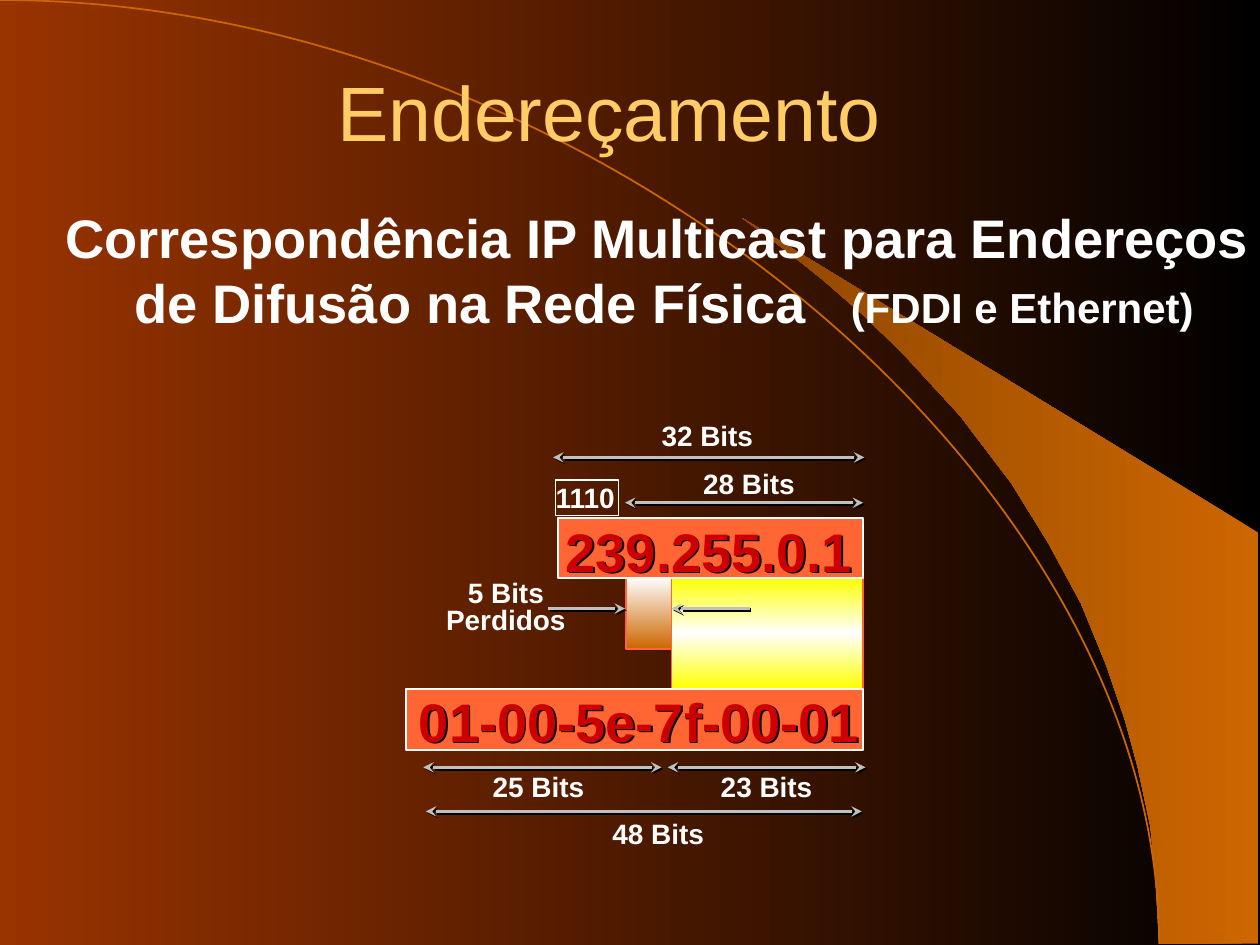
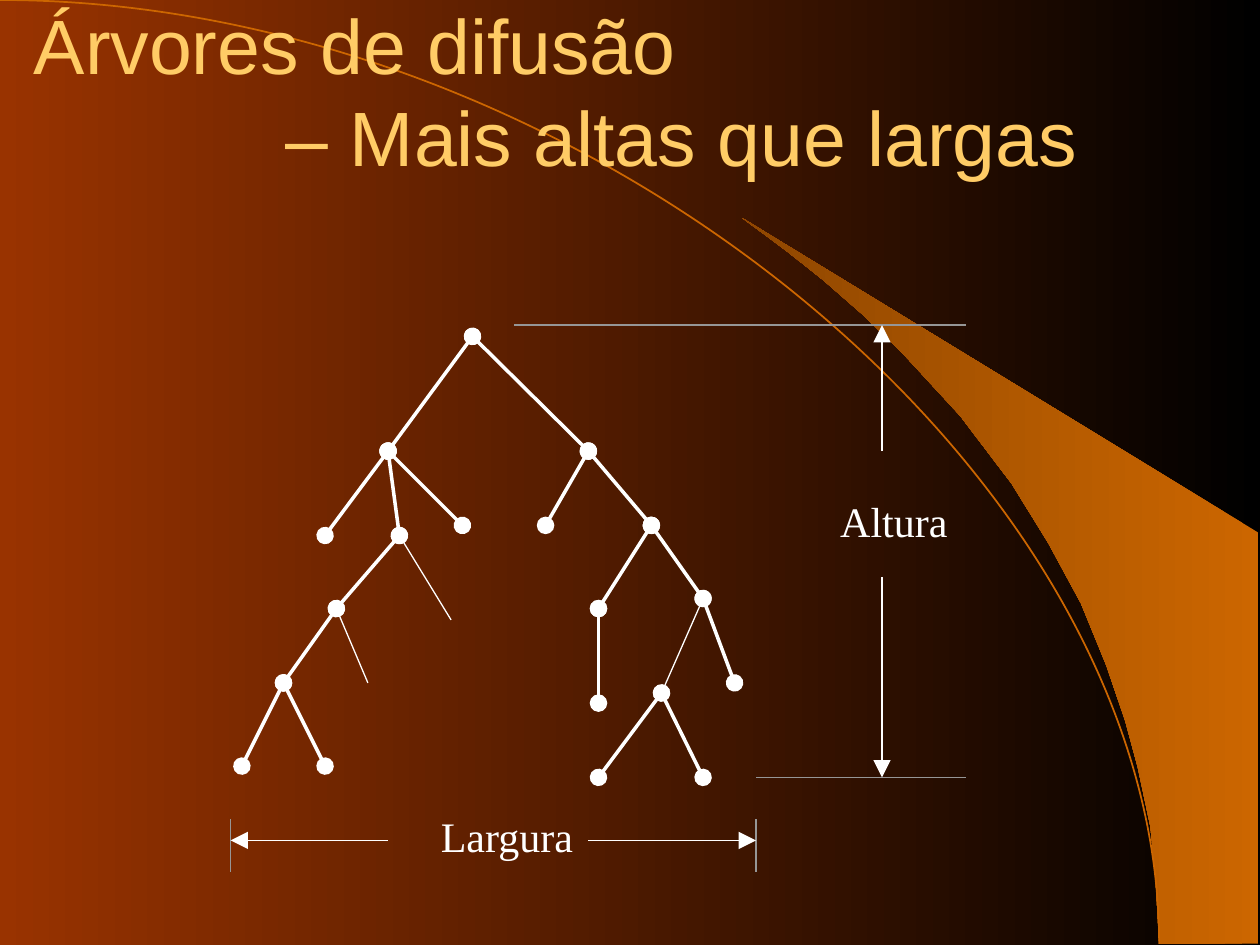
from lxml import etree
from pptx import Presentation
from pptx.dml.color import RGBColor
from pptx.enum.shapes import MSO_CONNECTOR as CONN, MSO_SHAPE as SHAPE
from pptx.enum.text import MSO_ANCHOR as ANCHOR, PP_ALIGN as ALIGN
from pptx.oxml.ns import qn
from pptx.util import Inches, Pt

BLACK = RGBColor(0x00, 0x00, 0x00)
WHITE = RGBColor(0xFF, 0xFF, 0xFF)
RUST = RGBColor(0x99, 0x33, 0x00)
ORANGE = RGBColor(0xCC, 0x66, 0x00)
BROWN = RGBColor(0x8F, 0x47, 0x00)
CORAL = RGBColor(0xFF, 0x66, 0x33)
YELLOW = RGBColor(0xFF, 0xFF, 0x00)
GOLD = RGBColor(0xFF, 0xCC, 0x66)
RED = RGBColor(0xCC, 0x00, 0x00)
SILVER = RGBColor(0xC0, 0xC0, 0xC0)
GRAY = RGBColor(0x96, 0x96, 0x96)

SANS = "Arial"
SERIF = "Times New Roman"
SNUG = (0.09, 0.05)

SWOOSH = [(9.2, 7.49), (9.99, 7.49), (9.99, 4.23), (5.89, 1.73), (6.24, 1.99),
          (6.53, 2.22), (6.85, 2.5), (7.16, 2.8), (7.62, 3.3), (8.03, 3.84),
          (8.32, 4.31), (8.58, 4.79), (8.78, 5.28), (8.93, 5.72),
          (9.03, 6.09), (9.13, 6.56), (9.17, 6.96)]


# --- Fills and effects ---
def set_gradient(fill, element, angle, *colours):
    """Spread the colours evenly, clockwise angle in degrees."""
    fill.gradient()
    fill.gradient_angle = 360 - angle
    stops = element.find(".//" + qn("a:gsLst"))
    for old in list(stops):
        stops.remove(old)
    for i, colour in enumerate(colours):
        gs = etree.SubElement(stops, qn("a:gs"),
                              pos=str(100000 * i // (len(colours) - 1)))
        etree.SubElement(gs, qn("a:srgbClr"), val=str(colour))


def make_effects(shadow):
    effects = etree.Element(qn("a:effectLst"))
    if shadow:
        outer = etree.SubElement(effects, qn("a:outerShdw"), dist="17780",
                                 dir="2700000", algn="ctr", rotWithShape="0")
        etree.SubElement(outer, qn("a:srgbClr"), val=str(BLACK))
    return effects


# --- Elements ---
def add_line(s, start, end, colour=WHITE, width=0.75, head=None, tail=None,
             size="med", shadow=False, kind=CONN.STRAIGHT):
    c = s.shapes.add_connector(kind, *[Inches(v) for v in (*start, *end)])
    c.line.color.rgb = colour
    c.line.width = Pt(width)
    ln = c.element.find(".//" + qn("a:ln"))
    for tag, arrow in (("a:headEnd", head), ("a:tailEnd", tail)):
        if arrow:
            etree.SubElement(ln, qn(tag), type=arrow, w=size, len=size)
    ln.getparent().append(make_effects(shadow))
    return c


def add_box(s, x, y, w, h, fills=(), line=WHITE, width=1):
    sp = s.shapes.add_shape(SHAPE.RECTANGLE, Inches(x), Inches(y), Inches(w), Inches(h))
    sp.shadow.inherit = False
    if len(fills) > 1:
        set_gradient(sp.fill, sp.element, 90, *fills)
    elif fills:
        sp.fill.solid()
        sp.fill.fore_color.rgb = fills[0]
    else:
        sp.fill.background()
    sp.line.color.rgb = line
    sp.line.width = Pt(width)
    return sp


def add_run(p, text, size, colour=WHITE, font=SANS, bold=False):
    r = p.add_run()
    r.text = text
    r.font.size = Pt(size)
    r.font.name = font
    r.font.bold = bold
    r.font.color.rgb = colour
    return r


def set_frame(tf, insets, anchor=ANCHOR.TOP, wrap=False):
    tf.margin_left = tf.margin_right = Inches(insets[0])
    tf.margin_top = tf.margin_bottom = Inches(insets[1])
    tf.vertical_anchor = anchor
    tf.word_wrap = wrap


def add_text(s, x, y, w, h, lines, size, insets=SNUG, align=ALIGN.LEFT,
             anchor=ANCHOR.TOP, wrap=False, spacing=None, shadow=False, **style):
    sp = s.shapes.add_textbox(Inches(x), Inches(y), Inches(w), Inches(h))
    if shadow:
        sp.element.find(qn("p:spPr")).append(make_effects(True))
    tf = sp.text_frame
    set_frame(tf, insets, anchor, wrap)
    for i, line in enumerate(lines):
        p = tf.add_paragraph() if i else tf.paragraphs[0]
        p.alignment = align
        p.line_spacing = spacing
        add_run(p, line, size, **style)
    return tf


def add_title(s, x, y, w, h, text, align=ALIGN.LEFT):
    return add_text(s, x, y, w, h, [text], 44, (0.1, 0.05), align,
                    ANCHOR.MIDDLE, True, colour=GOLD)


def set_tabs(tf, *stops):
    pPr = tf.paragraphs[0]._p.get_or_add_pPr()
    tabs = etree.SubElement(pPr, qn("a:tabLst"))
    for stop in stops:
        etree.SubElement(tabs, qn("a:tab"), pos=str(Inches(stop)), algn="l")


def add_themed_slide(prs):
    """Blank slide with the dark gradient, the swoosh and the curve."""
    s = prs.slides.add_slide(prs.slide_layouts[6])
    set_gradient(s.background.fill, s.element, 180, BLACK, RUST)
    points = [(Inches(x), Inches(y)) for x, y in SWOOSH]
    builder = s.shapes.build_freeform(*points[0])
    builder.add_line_segments(points[1:], close=True)
    swoosh = builder.convert_to_shape()
    swoosh.shadow.inherit = False
    set_gradient(swoosh.fill, swoosh.element, 180, ORANGE, BROWN)
    swoosh.line.fill.background()
    curve = add_line(s, (0, 0), (9.2, 7.49), ORANGE, 1, kind=CONN.CURVE)
    curve.element.find(".//" + qn("a:prstGeom")).set("prst", "curvedConnector2")
    return s


# --- Slide 1: address mapping ---
def add_bit_span(s, y, x1, x2, label, label_x, label_y):
    add_line(s, (x1, y), (x2, y), SILVER, 2, "stealth", "stealth", shadow=True)
    add_text(s, label_x, label_y, 0.91, 0.36, [label], 16, bold=True)


def build_addressing(prs):
    s = add_themed_slide(prs)
    # Lost and mapped bits
    add_box(s, 4.97, 4.58, 0.41, 0.57, (WHITE, ORANGE), CORAL)
    add_box(s, 5.33, 4.58, 1.52, 0.89, (YELLOW, WHITE, YELLOW), CORAL)
    # Measures
    for span in [(3.63, 4.39, 6.86, "32 Bits", 5.16, 3.27),
                 (3.99, 4.96, 6.85, "28 Bits", 5.49, 3.65),
                 (6.09, 3.36, 5.25, "25 Bits", 3.82, 6.06),
                 (6.09, 5.3, 6.87, "23 Bits", 5.63, 6.06),
                 (6.44, 3.38, 6.84, "48 Bits", 4.77, 6.43)]:
        add_bit_span(s, *span)
    # Addresses
    address = dict(colour=RED, bold=True, shadow=True)
    add_box(s, 3.22, 5.47, 3.63, 0.48, [CORAL])
    add_text(s, 3.23, 5.41, 3.68, 0.61, ["01-00-5e-7f-00-01"], 31,
             align=ALIGN.CENTER, **address)
    add_box(s, 4.43, 4.11, 2.42, 0.48, [CORAL])
    add_text(s, 4.4, 4.06, 2.6, 0.61, ["239.255.0.1"], 31, wrap=True, **address)
    # Class prefix
    prefix = add_box(s, 4.41, 3.81, 0.5, 0.28, width=0.75).text_frame
    set_frame(prefix, (0, 0))
    prefix.paragraphs[0].alignment = ALIGN.LEFT
    add_run(prefix.paragraphs[0], "1110", 16, bold=True)
    # Lost bits pointers
    for x1, x2 in [(4.35, 4.96), (5.95, 5.33)]:
        add_line(s, (x1, 4.83), (x2, 4.83), SILVER, 2, tail="stealth", shadow=True)
    add_text(s, 3.45, 4.57, 1.13, 0.52, ["5 Bits", "Perdidos"], 16,
             align=ALIGN.CENTER, spacing=0.8, bold=True)
    # Headings
    add_title(s, 0.67, 0.25, 8.5, 1.25, "Endereçamento ", ALIGN.CENTER)
    tf = add_text(s, 0.42, 1.58, 9.58, 1.12,
                  ["Correspondência IP Multicast para Endereços",
                   " de Difusão na Rede Física"], 31, (0.09, 0.04),
                  ALIGN.CENTER, ANCHOR.MIDDLE, True, bold=True)
    p = tf.paragraphs[1]
    gap = add_run(p, " ", 31, bold=True)
    gap.font._element.set("spc", "1720")
    add_run(p, "(FDDI e Ethernet)", 24, bold=True)


# --- Slide 2: diffusion tree ---
NODES = {
    "root": (3.75, 2.67), "a": (3.08, 3.58), "b": (4.67, 3.58),
    "a1": (2.58, 4.25), "a2": (3.17, 4.25), "a3": (3.67, 4.17),
    "b1": (4.33, 4.17), "b2": (5.17, 4.17),
    "a21": (2.67, 4.83), "b21": (4.75, 4.83), "b22": (5.58, 4.75),
    "a211": (2.25, 5.42), "b211": (4.75, 5.58),
    "b221": (5.25, 5.5), "b222": (5.83, 5.42),
    "a2111": (1.92, 6.08), "a2112": (2.58, 6.08),
    "b2211": (4.75, 6.17), "b2212": (5.58, 6.17),
}
BRANCHES = {
    "root": ["a", "b"], "a": ["a1", "a2", "a3"], "a2": ["a21"],
    "b": ["b1", "b2"], "b2": ["b21", "b22"], "b21": ["b211"],
    "a21": ["a211"], "a211": ["a2111", "a2112"], "b22": ["b222"],
    "b221": ["b2211", "b2212"],
}
THIN_BRANCHES = [("a2", (3.58, 4.92)), ("a21", (2.92, 5.42)),
                 ("b22", NODES["b221"])]


def build_trees(prs):
    s = add_themed_slide(prs)
    tf = add_title(s, 0.17, 0.17, 9.67, 1.08, "Árvores de difusão ")
    set_tabs(tf, 1, 2)
    p = tf.paragraphs[0]
    p.add_line_break()
    add_run(p, "\t\t– Mais altas que largas", 44, GOLD)
    # Tree
    for parent, children in BRANCHES.items():
        for child in children:
            add_line(s, NODES[parent], NODES[child], width=2,
                     head="oval", tail="oval", size="lg")
    for parent, end in THIN_BRANCHES:
        add_line(s, NODES[parent], end)
    # Limits
    for start, end in [((4.08, 2.58), (7.67, 2.58)), ((6, 6.17), (7.67, 6.17)),
                       ((1.83, 6.5), (1.83, 6.92)), ((6, 6.5), (6, 6.92))]:
        add_line(s, start, end, GRAY)
    # Height and width arrows
    for start, end in [((7, 4.58), (7, 6.17)), ((7, 3.58), (7, 2.58)),
                       ((3.08, 6.67), (1.83, 6.67)), ((4.67, 6.67), (6, 6.67))]:
        add_line(s, start, end, tail="triangle", size="lg")
    for x, y, w, label in [(6.57, 3.88, 1.05, "Altura"), (3.4, 6.38, 1.25, "Largura")]:
        add_text(s, x, y, w, 0.5, [label], 24, (0.1, 0.05), font=SERIF)


def main():
    prs = Presentation()
    prs.slide_width, prs.slide_height = Inches(10), Inches(7.5)
    build_addressing(prs)
    build_trees(prs)
    prs.save("out.pptx")


if __name__ == "__main__":
    main()
